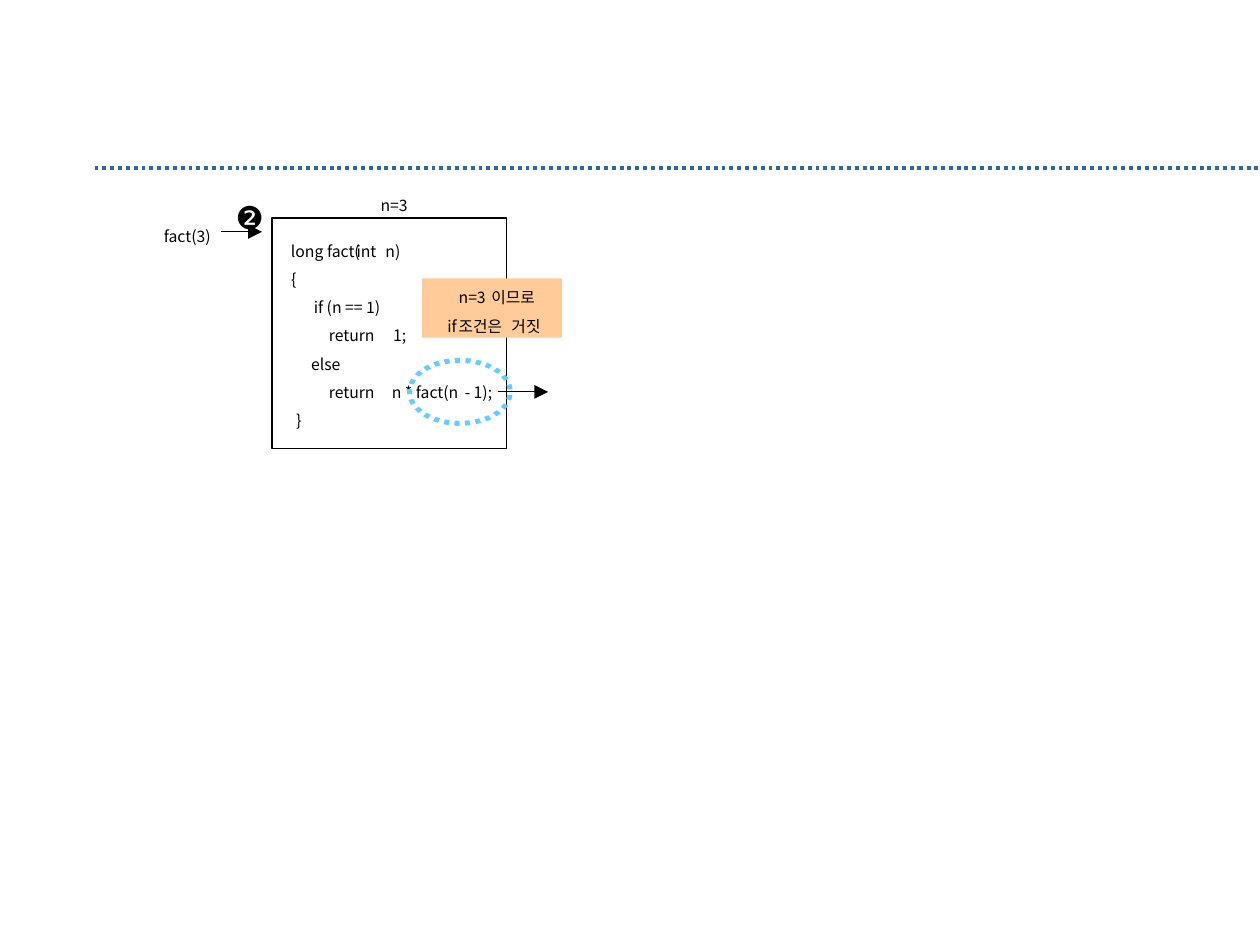
from math import cos, hypot, pi, sin

from lxml.etree import SubElement
from pptx import Presentation
from pptx.dml.color import RGBColor
from pptx.enum.dml import MSO_LINE
from pptx.enum.shapes import MSO_CONNECTOR, MSO_SHAPE
from pptx.enum.text import MSO_AUTO_SIZE
from pptx.oxml.ns import qn
from pptx.util import Inches, Pt

FONT = "Noto Sans CJK KR"
BLACK = "000000"

CODE = [
    [(2.31, 0.56, "long fact("), (2.83, 0.17, "int"), (3.06, 0.16, "n)")],
    [(2.31, 0.08, "{")],
    [(2.49, 0.59, "if (n == 1)")],
    [(2.61, 0.39, "return"), (3.12, 0.13, "1;")],
    [(2.47, 0.26, "else")],
    [(2.61, 0.39, "return"), (3.11, 0.55, "n * fact(n"),
     (3.69, 0.04, "-"), (3.76, 0.18, "1);")],
    [(2.35, 0.05, "}")],
]
NOTE = [
    [(3.64, 0.25, "n=3"), (3.9, 0.36, "이므로")],
    [(3.55, 0.09, "if"), (3.64, 0.36, "조건은"), (4.06, 0.24, "거짓")],
]


def color(code):
    return RGBColor.from_string(code)


def add_text(shapes, x, y, w, text, h=0.15, size=9, font=FONT):
    box = shapes.add_textbox(Inches(x), Inches(y), Inches(w), Inches(h))
    frame = box.text_frame
    frame.margin_left = frame.margin_right = 0
    frame.margin_top = frame.margin_bottom = 0
    frame.word_wrap = False
    frame.auto_size = MSO_AUTO_SIZE.SHAPE_TO_FIT_TEXT
    run = frame.paragraphs[0].add_run()
    run.text = text
    run.font.size = Pt(size)
    run.font.name = font
    run.font.color.rgb = color(BLACK)
    SubElement(run.font._element, qn("a:ea")).set("typeface", font)


def add_rows(shapes, rows, top, step):
    for i, row in enumerate(rows):
        for x, w, text in row:
            add_text(shapes, x, top + i * step, w, text)


def add_rect(shapes, x, y, w, h, fill=None, line=None):
    rect = shapes.add_shape(MSO_SHAPE.RECTANGLE, Inches(x), Inches(y),
                            Inches(w), Inches(h))
    rect.shadow.inherit = False
    if fill:
        rect.fill.solid()
        rect.fill.fore_color.rgb = color(fill)
    else:
        rect.fill.background()
    if line:
        rect.line.color.rgb = color(line)
        rect.line.width = Pt(0.75)
    else:
        rect.line.fill.background()


def add_line(shapes, x, end, y, code=BLACK, width=0.75):
    line = shapes.add_connector(MSO_CONNECTOR.STRAIGHT, Inches(x), Inches(y),
                                Inches(end), Inches(y))
    line.line.color.rgb = color(code)
    line.line.width = Pt(width)
    SubElement(line._element.spPr, qn("a:effectLst"))
    return line


def add_shard(shapes, points, fill):
    spots = [(Inches(x), Inches(y)) for x, y in points]
    pen = shapes.build_freeform(*spots[0])
    pen.add_line_segments(spots[1:], close=True)
    shard = pen.convert_to_shape()
    shard.shadow.inherit = False
    shard.fill.solid()
    shard.fill.fore_color.rgb = color(fill)
    shard.line.fill.background()


def add_arrow(shapes, x, tip, y):
    group = shapes.add_group_shape().shapes
    back = tip - 0.11
    add_line(group, x, back + 0.01, y)
    add_shard(group, [(back, y + 0.055), (tip, y), (back, y - 0.055)], BLACK)


def add_ring(shapes, x, y, wide, high, count, fill):
    group = shapes.add_group_shape().shapes
    size = 0.02
    mean = 3 * (wide + high)
    root = ((3 * wide + high) * (wide + 3 * high)) ** 0.5
    step = pi * (mean - root) / count

    def speed(turn):
        return hypot(wide * sin(turn), high * cos(turn))

    def spot(turn, grow):
        return (x + (wide + grow) * cos(turn), y - (high + grow) * sin(turn))

    turn = pi / 2 + size / wide
    for _ in range(count):
        half = size / speed(turn)
        add_shard(group, [spot(turn - half, size), spot(turn + half, size),
                          spot(turn + half, -size), spot(turn - half, -size)],
                  fill)
        turn += step / speed(turn + step / speed(turn) / 2)


def main():
    deck = Presentation()
    deck.slide_width, deck.slide_height = Inches(10), Inches(7.5)
    shapes = deck.slides.add_slide(deck.slide_layouts[6]).shapes

    rule = add_line(shapes, 0.75, 10, 1.33, "336699", 2.25)
    rule.line.dash_style = MSO_LINE.ROUND_DOT

    add_rect(shapes, 2.16, 1.73, 1.86, 1.83, line=BLACK)
    add_rows(shapes, CODE, 1.92, 0.223)
    add_text(shapes, 1.3, 1.8, 0.38, "fact(3)")
    add_arrow(shapes, 1.75, 2.08, 1.84)
    add_text(shapes, 3.02, 1.55, 0.22, "n=3")
    add_rect(shapes, 3.35, 2.21, 1.11, 0.47, fill="FFCC99")
    add_rows(shapes, NOTE, 2.28, 0.23)
    add_ring(shapes, 3.65, 3.11, 0.4, 0.25, 25, "66CCFF")
    add_arrow(shapes, 3.95, 4.35, 3.11)
    add_text(shapes, 1.87, 1.57, 0.22, "❷", 0.3, 18, "Arial")

    deck.save("out.pptx")


if __name__ == "__main__":
    main()
